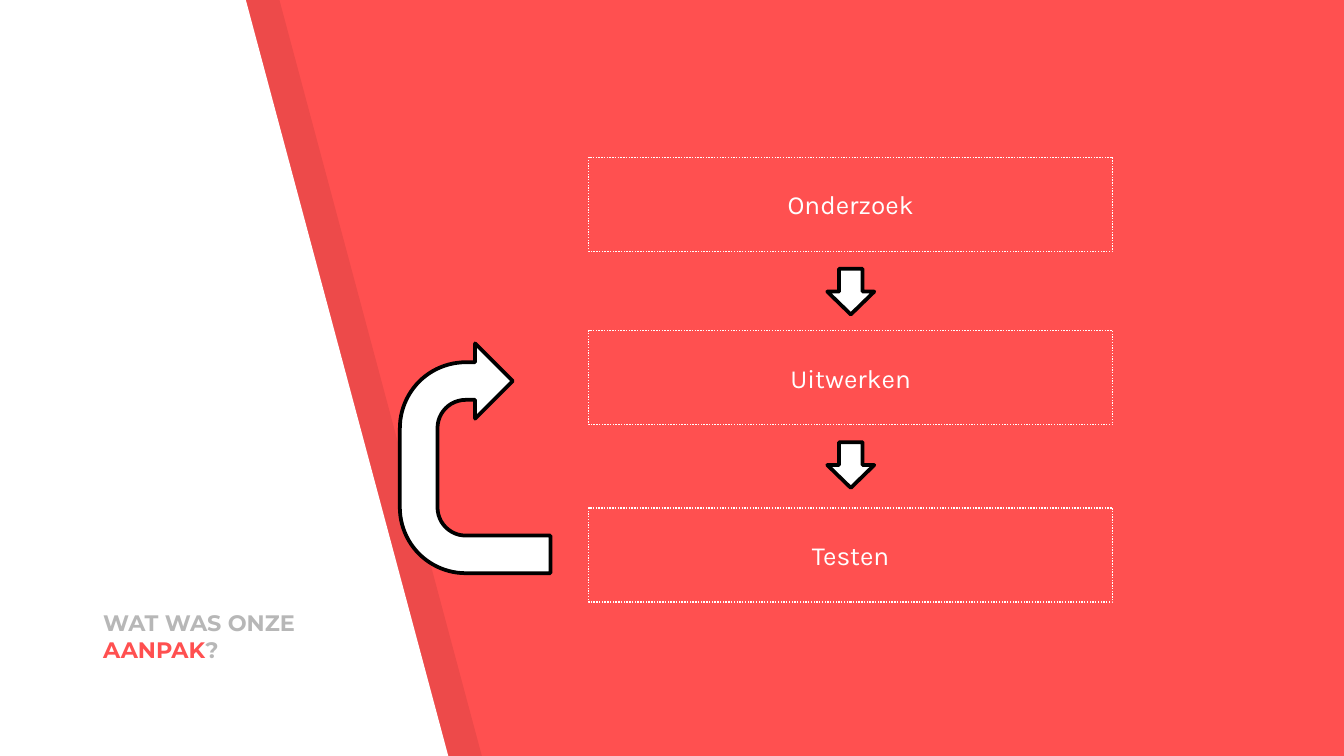
from pptx import Presentation
from pptx import util as u
from pptx.dml.color import RGBColor
from pptx.enum import dml, shapes, text
from pptx.oxml.ns import qn
from lxml import etree

PX = 4572  # EMU per px, 200 px to the inch
WIDE, HIGH = 2000, 1125

RED = RGBColor(0xFF, 0x50, 0x50)
WHITE = RGBColor(0xFF, 0xFF, 0xFF)
BLACK = RGBColor(0x00, 0x00, 0x00)
GREY = RGBColor(0xB7, 0xB7, 0xB7)

HEAD = {"name": "Montserrat", "size": u.Pt(12), "bold": True}
BODY = {"name": "Karla", "size": u.Pt(14), "bold": False}

STEPS = [("Onderzoek", 234), ("Uitwerken", 492), ("Testen", 756)]
BOX_X, BOX_W, BOX_H = 876, 780, 140
ARROW_W, ARROW_H, GAP = 68, 70, 25


def px(*sizes):
    return [u.Emu(size * PX) for size in sizes]


def style(shape, fill=None, line=None, width=1):
    shape.shadow.inherit = False
    if fill is None:
        shape.fill.background()
    else:
        shape.fill.solid()
        shape.fill.fore_color.rgb = fill
    if line is None:
        shape.line.fill.background()
    else:
        shape.line.color.rgb = line
        shape.line.width = u.Pt(width)


def write(shape, runs, font, anchor, align):
    frame = shape.text_frame
    inset = u.Inches(0.1)
    form = {"word_wrap": True, "vertical_anchor": anchor,
            "margin_left": inset, "margin_right": inset,
            "margin_top": inset, "margin_bottom": inset}
    for key, value in form.items():
        setattr(frame, key, value)
    para = frame.paragraphs[0]
    para.alignment = align
    for words, color in runs:
        run = para.add_run()
        run.text = words
        for key, value in font.items():
            setattr(run.font, key, value)
        run.font.color.rgb = color


def panel(slide, left, color, alpha=None):
    pen = slide.shapes.build_freeform(left, -2, scale=PX)
    pen.add_line_segments([(left, 1128), (left + 672, 1128), (left + 370, 0)])
    shape = pen.convert_to_shape()
    style(shape, color)
    if alpha is not None:
        tint = shape.fill._xPr.find(qn("a:solidFill"))[0]
        etree.SubElement(tint, qn("a:alpha"), val=str(alpha * 1000))


def title(slide):
    box = slide.shapes.add_textbox(*px(134, 900, 352, 106))
    runs = [("WAT WAS ONZE ", GREY), ("AANPAK", RED), ("?", GREY)]
    write(box, runs, HEAD, text.MSO_ANCHOR.BOTTOM, text.PP_ALIGN.LEFT)


def step(slide, label, top):
    box = slide.shapes.add_shape(shapes.MSO_SHAPE.RECTANGLE,
                                 *px(BOX_X, top, BOX_W, BOX_H))
    style(box, line=WHITE, width=0.75)
    box.line.dash_style = dml.MSO_LINE.ROUND_DOT
    write(box, [(label, WHITE)], BODY, text.MSO_ANCHOR.MIDDLE,
          text.PP_ALIGN.CENTER)


def arrow(slide, kind, place, turn):
    shape = slide.shapes.add_shape(kind, *px(*place))
    shape.rotation = turn
    style(shape, WHITE, BLACK, 2)


def main():
    deck = Presentation()
    deck.slide_width, deck.slide_height = px(WIDE, HIGH)
    slide = deck.slides.add_slide(deck.slide_layouts[6])
    back = slide.background.fill
    back.solid()
    back.fore_color.rgb = RED

    # Slanted white panel with its shade
    panel(slide, 46, BLACK, alpha=7)
    panel(slide, -4, WHITE)
    title(slide)

    # Steps, with an arrow below each but the last
    for label, top in STEPS:
        step(slide, label, top)
    mid = BOX_X + (BOX_W - ARROW_W) // 2
    for _, top in STEPS[:-1]:
        place = (mid, top + BOX_H + GAP, ARROW_W, ARROW_H)
        arrow(slide, shapes.MSO_SHAPE.RIGHT_ARROW, place, 90)

    # Loop from testing back to working out
    arrow(slide, shapes.MSO_SHAPE.U_TURN_ARROW, (536, 570, 342, 224), 270)

    deck.save("out.pptx")


if __name__ == "__main__":
    main()
